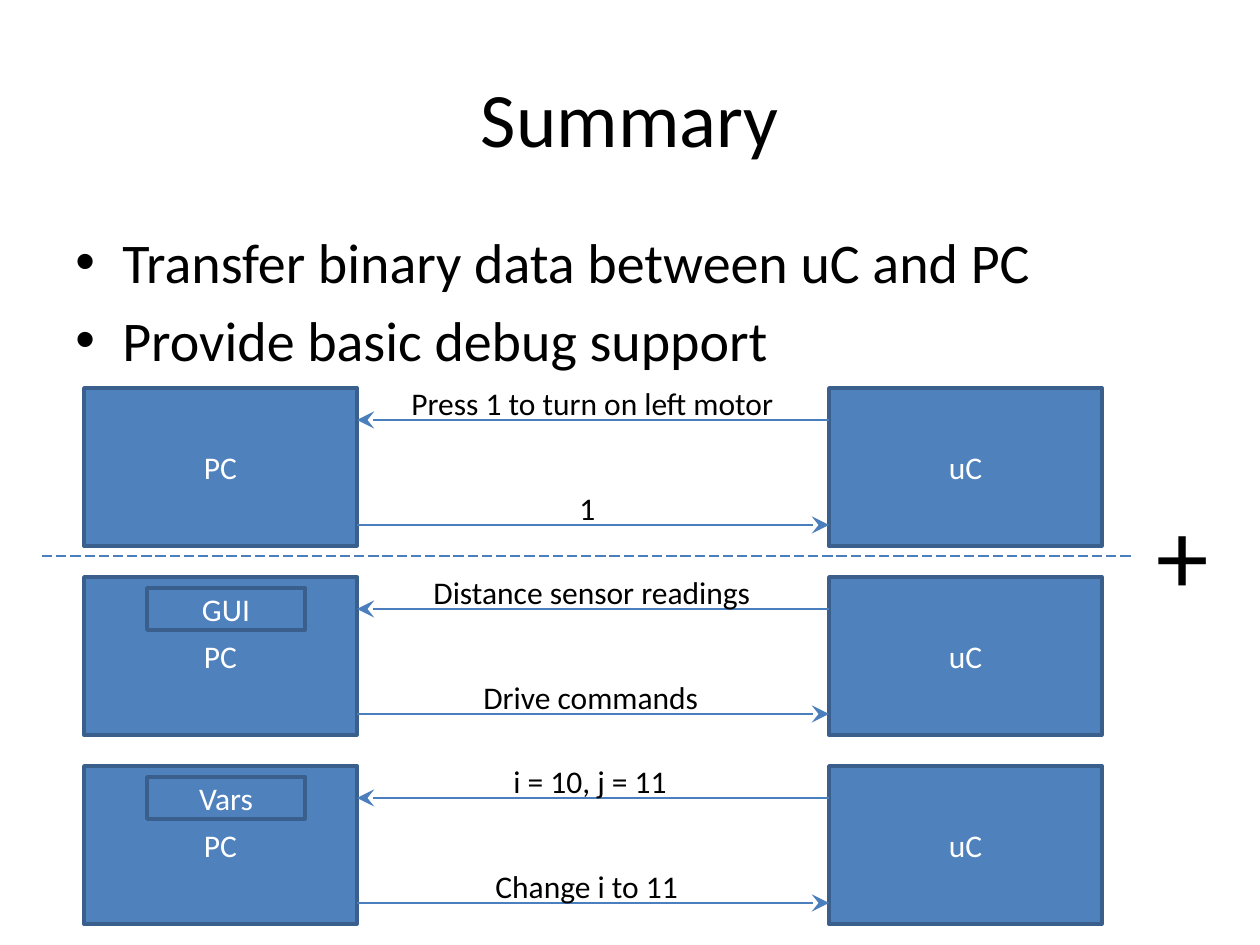
from lxml.etree import SubElement
from pptx import Presentation
from pptx.dml.color import RGBColor
from pptx.enum.dml import MSO_LINE
from pptx.enum.shapes import MSO_CONNECTOR, MSO_SHAPE
from pptx.enum.text import MSO_ANCHOR, PP_ALIGN
from pptx.oxml.ns import qn
from pptx.util import Pt

PIXEL = 914400 // 126
COLORS = {"text": "000000", "box": "4F81BD", "border": "3A5F8C",
          "line": "4B7EBC", "box_text": "FFFFFF"}

presentation = Presentation()
presentation.slide_width = 1260 * PIXEL
presentation.slide_height = 945 * PIXEL
slide = presentation.slides.add_slide(presentation.slide_layouts[6])


def add_text(bounds, text, size, color="text", align=PP_ALIGN.LEFT,
             anchor=MSO_ANCHOR.TOP, wrap=True, boxed=False):
    """Add text at pixel bounds, in a filled rectangle when boxed."""
    lengths = [value * PIXEL for value in bounds]
    if boxed:
        shape = slide.shapes.add_shape(MSO_SHAPE.RECTANGLE, *lengths)
        shape.shadow.inherit = False
        shape.fill.solid()
        shape.fill.fore_color.rgb = RGBColor.from_string(COLORS["box"])
        shape.line.color.rgb = RGBColor.from_string(COLORS["border"])
        shape.line.width = Pt(2)
    else:
        shape = slide.shapes.add_textbox(*lengths)
    text_frame = shape.text_frame
    text_frame.text = text
    text_frame.word_wrap = wrap
    text_frame.vertical_anchor = anchor
    for paragraph in text_frame.paragraphs:
        paragraph.alignment = align
        font = paragraph.runs[0].font
        font.name = "Calibri"
        font.size = Pt(size)
        font.color.rgb = RGBColor.from_string(COLORS[color])
    return shape


def add_line(start_x, start_y, end_x, end_y):
    """Add a thin line between two pixel points and return it."""
    connector = slide.shapes.add_connector(
        MSO_CONNECTOR.STRAIGHT,
        *[value * PIXEL for value in (start_x, start_y, end_x, end_y)])
    connector.line.color.rgb = RGBColor.from_string(COLORS["line"])
    connector.line.width = Pt(0.75)
    SubElement(connector._element.spPr, qn("a:effectLst"))
    return connector


add_text((63, 38, 1134, 157), "Summary", 44,
         align=PP_ALIGN.CENTER, anchor=MSO_ANCHOR.MIDDLE)

body = add_text((63, 221, 1134, 624),
                "Transfer binary data between uC and PC\nProvide basic debug support", 32)
for paragraph in body.text_frame.paragraphs:
    paragraph.space_before = Pt(6.4)
    properties = paragraph._p.get_or_add_pPr()
    properties.set("marL", str(47 * PIXEL))
    properties.set("indent", str(-47 * PIXEL))
    SubElement(properties, qn("a:buFont"), typeface="Arial")
    SubElement(properties, qn("a:buChar"), char="•")

# Each exchange: inner box label, then (label, left, width) to the PC and to the uC
exchanges = [
    (None, ("Press 1 to turn on left motor", 399, 392), ("1", 567, 42)),
    ("GUI", ("Distance sensor readings", 421, 346), ("Drive commands", 471, 243)),
    ("Vars", ("i = 10, j = 11", 501, 181), ("Change i to 11", 483, 210)),
]
PC_LEFT, UC_LEFT, BOX_WIDTH, BOX_HEIGHT = 84, 829, 273, 158
FIRST_TOP, ROW_STEP = 388, 189
PC_RIGHT = PC_LEFT + BOX_WIDTH
centered_box = {"color": "box_text", "align": PP_ALIGN.CENTER,
                "anchor": MSO_ANCHOR.MIDDLE, "boxed": True}

for row, (inner_label, to_pc, to_uc) in enumerate(exchanges):
    top = FIRST_TOP + row * ROW_STEP
    for name, left in (("PC", PC_LEFT), ("uC", UC_LEFT)):
        add_text((left, top, BOX_WIDTH, BOX_HEIGHT), name, 18, **centered_box)
    if inner_label:
        add_text((147, top + 11, 158, 42), inner_label, 18, **centered_box)
    for (label, left, width), offset, start, end in (
            (to_pc, 32, UC_LEFT, PC_RIGHT), (to_uc, 137, PC_RIGHT, UC_LEFT)):
        arrow = add_line(start, top + offset, end, top + offset)
        SubElement(arrow.line._get_or_add_ln(), qn("a:tailEnd"),
                   type="stealth", w="lg", len="lg")
        add_text((left, top + offset - 42, width, 50), label, 18, wrap=False)

add_text((1144, 483, 78, 140), "+", 60, wrap=False)
divider = add_line(42, 556, 1134, 556)
divider.line.dash_style = MSO_LINE.LONG_DASH

presentation.save("out.pptx")
